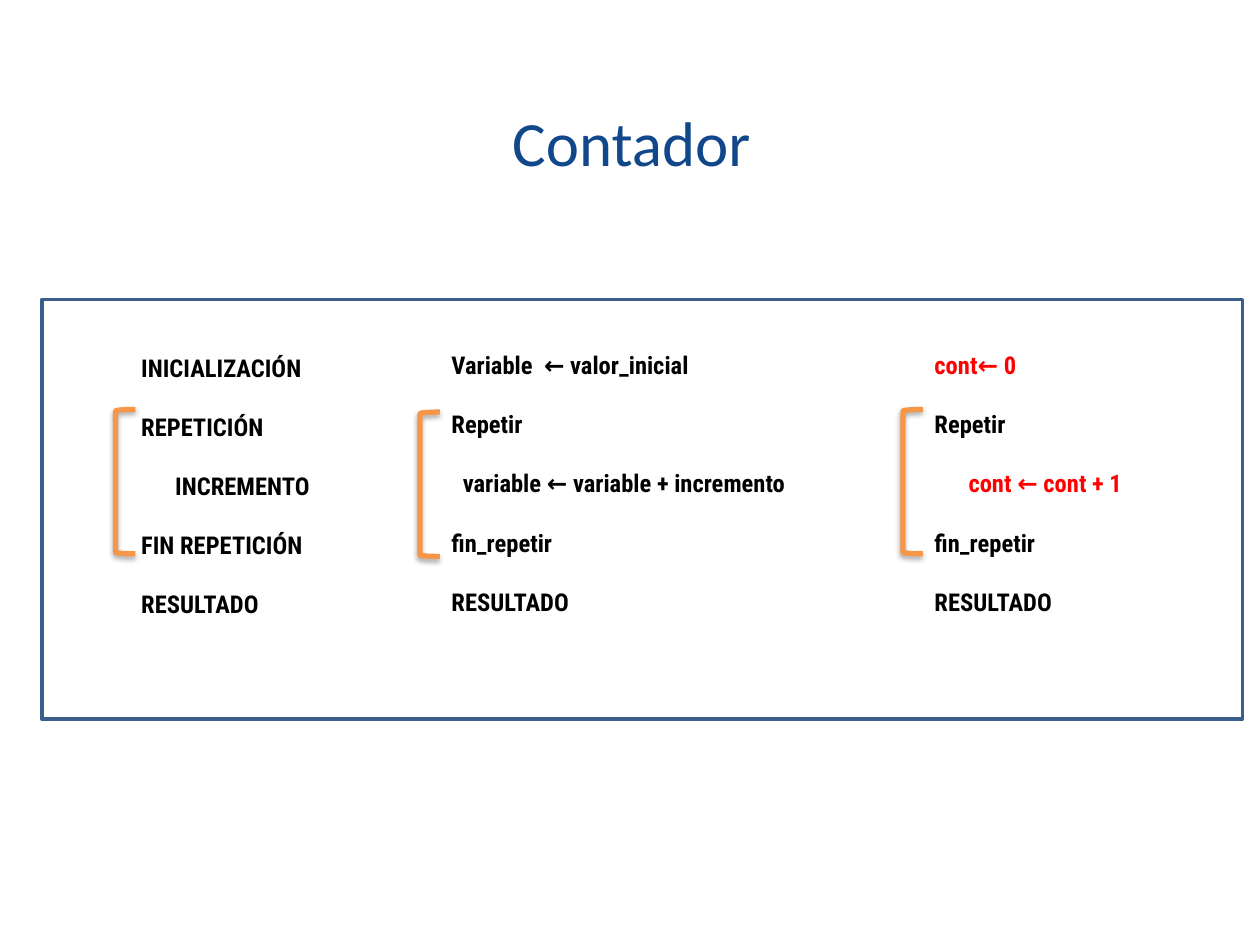
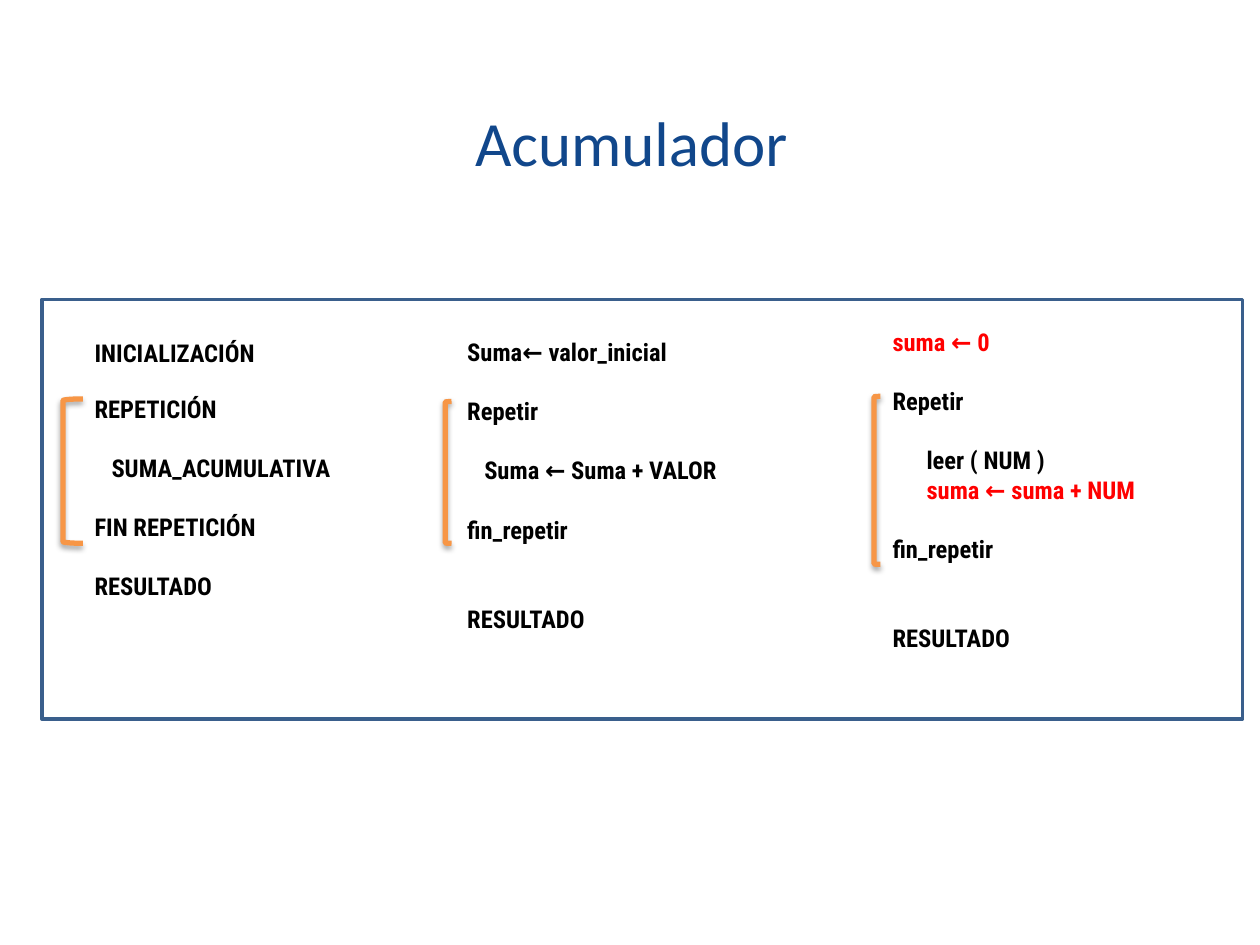
import pptx
import pptx.util
import pptx.dml.color
import pptx.enum.shapes
import pptx.enum.text
import pptx.oxml

TITLE_BLUE = pptx.dml.color.RGBColor(0x11, 0x47, 0x8B)
FRAME_BLUE = pptx.dml.color.RGBColor(0x3A, 0x5F, 0x8C)
ORANGE = pptx.dml.color.RGBColor(0xF7, 0x96, 0x46)
BLACK = pptx.dml.color.RGBColor(0, 0, 0)
RED = pptx.dml.color.RGBColor(0xFF, 0, 0)

BRACKET_SHADOW = (
    '<a:effectLst xmlns:a="http://schemas.openxmlformats.org/drawingml/2006/main">'
    '<a:outerShdw blurRad="39370" dist="22860" dir="5400000" rotWithShape="0">'
    '<a:srgbClr val="000000"><a:alpha val="35000"/></a:srgbClr>'
    '</a:outerShdw></a:effectLst>'
)

presentation = pptx.Presentation()
presentation.slide_width = pptx.util.Inches(10)
presentation.slide_height = pptx.util.Inches(7.5)
UNIT = presentation.slide_width / 120

TITLE_AREA = (0.25, 6, 119.75, 15)
FRAME_AREA = (4, 28.5, 114.33, 40)
LINE_GAP = 17
SPACE = 0.54


def grid(*cells):
    return [pptx.util.Emu(round(cell * UNIT)) for cell in cells]


def add_outline(slide, preset, area, color, width):
    shape = slide.shapes.add_shape(preset, *grid(*area))
    shape.shadow.inherit = False
    shape.fill.background()
    shape.line.color.rgb = color
    shape.line.width = pptx.util.Pt(width)
    return shape


# Each line: text, colour, indent in spaces, gap above in points.
SLIDES = [
    ("Contador", [
        ((0.25, 30, 37, 37.5), (13.2, 3.6), (11, 39, 1.9, 13.75), [
            ("INICIALIZACIÓN", BLACK, 0, 0),
            ("REPETICIÓN", BLACK, 0, LINE_GAP),
            ("INCREMENTO", BLACK, 6, LINE_GAP),
            ("FIN REPETICIÓN", BLACK, 0, LINE_GAP),
            ("RESULTADO", BLACK, 0, LINE_GAP),
        ]),
        ((31, 29.75, 51.75, 37.5), (12, 3.6), (40, 39.25, 1.9, 13.75), [
            ("Variable  ← valor_inicial", BLACK, 0, 0),
            ("Repetir", BLACK, 0, LINE_GAP),
            ("variable ← variable + incremento", BLACK, 2, LINE_GAP),
            ("fin_repetir", BLACK, 0, LINE_GAP),
            ("RESULTADO", BLACK, 0, LINE_GAP),
        ]),
        ((77, 29.75, 38.5, 37.5), (12, 3.6), (86, 39, 1.9, 13.75), [
            ("cont← 0", RED, 0, 0),
            ("Repetir", BLACK, 0, LINE_GAP),
            ("cont ← cont + 1", RED, 6, LINE_GAP),
            ("fin_repetir", BLACK, 0, LINE_GAP),
            ("RESULTADO", BLACK, 0, LINE_GAP),
        ]),
    ]),
    ("Acumulador", [
        ((-3, 31, 35.6, 37.5), (12, 1.2), (6, 38, 1.9, 13.75), [
            ("INICIALIZACIÓN", BLACK, 0, 0),
            ("REPETICIÓN", BLACK, 0, 15),
            ("SUMA_ACUMULATIVA", BLACK, 3, LINE_GAP),
            ("FIN REPETICIÓN", BLACK, 0, LINE_GAP),
            ("RESULTADO", BLACK, 0, LINE_GAP),
        ]),
        ((32.5, 28.5, 53.4, 34.5), (12, 3.6), (42.4, 38.25, 0.6, 13.5), [
            ("Suma← valor_inicial", BLACK, 0, 0),
            ("Repetir", BLACK, 0, LINE_GAP),
            ("Suma ← Suma + VALOR", BLACK, 3, LINE_GAP),
            ("fin_repetir", BLACK, 0, LINE_GAP),
            ("RESULTADO", BLACK, 0, 2 * LINE_GAP),
        ]),
        ((73, 28.75, 48.75, 38.5), (12, 2.4), (83.25, 37.75, 0.6, 16), [
            ("suma ← 0", RED, 0, 0),
            ("Repetir", BLACK, 0, LINE_GAP),
            ("leer ( NUM )", BLACK, 6, LINE_GAP),
            ("suma ← suma + NUM", RED, 6, 0),
            ("fin_repetir", BLACK, 0, LINE_GAP),
            ("RESULTADO", BLACK, 0, 2 * LINE_GAP),
        ]),
    ]),
]

for heading, columns in SLIDES:
    slide = presentation.slides.add_slide(presentation.slide_layouts[5])
    title = slide.shapes.title
    title.left, title.top, title.width, title.height = grid(*TITLE_AREA)
    title.text_frame.vertical_anchor = pptx.enum.text.MSO_ANCHOR.MIDDLE
    paragraph = title.text_frame.paragraphs[0]
    paragraph.alignment = pptx.enum.text.PP_ALIGN.CENTER
    run = paragraph.add_run()
    run.text = heading
    run.font.name = "Calibri"
    run.font.size = pptx.util.Pt(36)
    run.font.color.rgb = TITLE_BLUE

    add_outline(slide, pptx.enum.shapes.MSO_SHAPE.RECTANGLE, FRAME_AREA, FRAME_BLUE, 2)

    for text_area, insets, bracket_area, lines in columns:
        frame = slide.shapes.add_textbox(*grid(*text_area)).text_frame
        frame.word_wrap = True
        frame.margin_left, frame.margin_top = grid(*insets)
        frame.margin_right = frame.margin_bottom = 0
        for index, (text, color, indent, gap) in enumerate(lines):
            paragraph = frame.add_paragraph() if index else frame.paragraphs[0]
            paragraph.space_before = pptx.util.Pt(gap)
            paragraph._p.get_or_add_pPr().set("marL", str(grid(indent * SPACE)[0]))
            run = paragraph.add_run()
            run.text = text
            run.font.name = "Roboto Condensed"
            run.font.size = pptx.util.Pt(14)
            run.font.bold = True
            run.font.color.rgb = color

        bracket = add_outline(slide, pptx.enum.shapes.MSO_SHAPE.LEFT_BRACKET, bracket_area, ORANGE, 3)
        properties = bracket._element.spPr
        properties.replace(properties.effectLst, pptx.oxml.parse_xml(BRACKET_SHADOW))

presentation.save("out.pptx")
